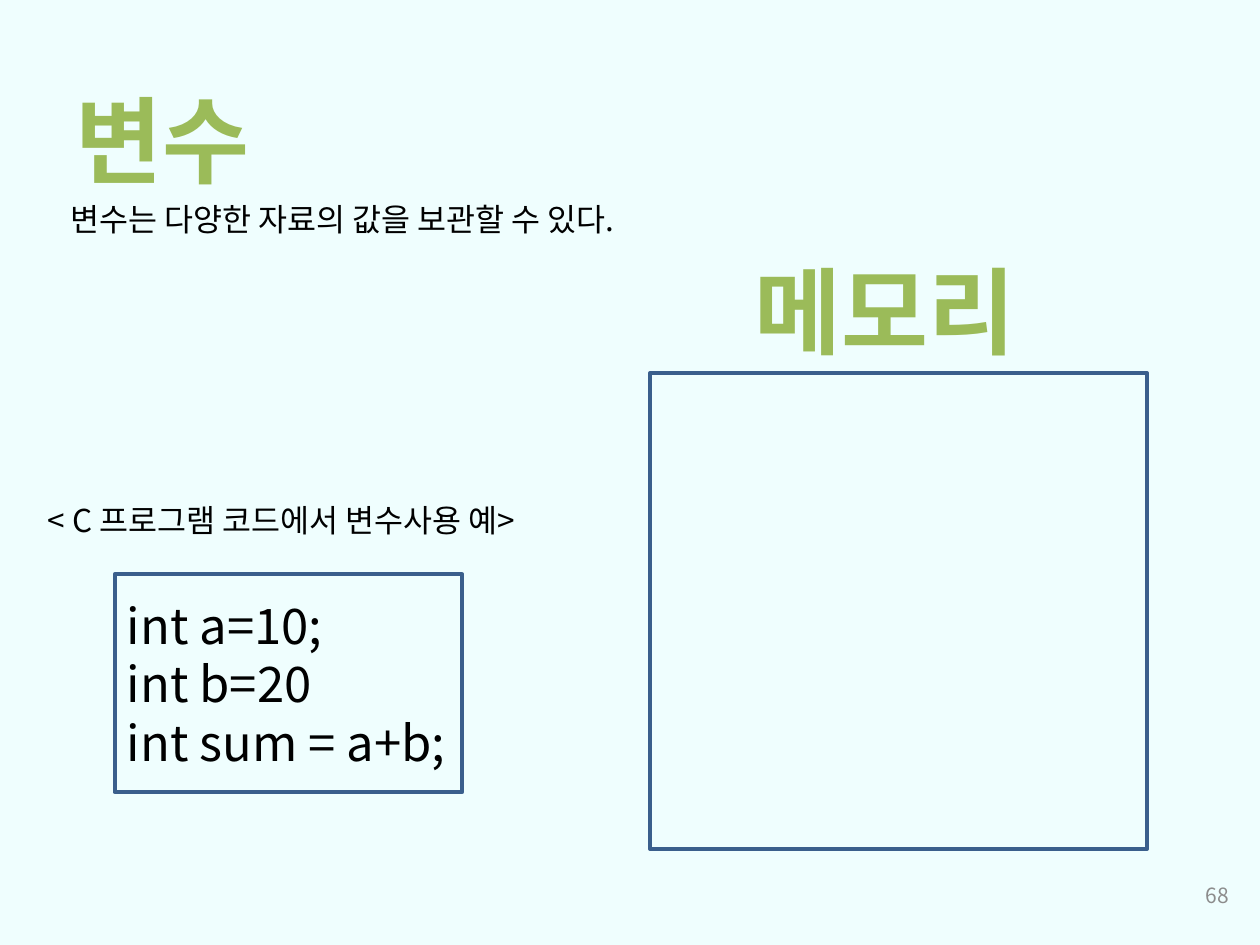
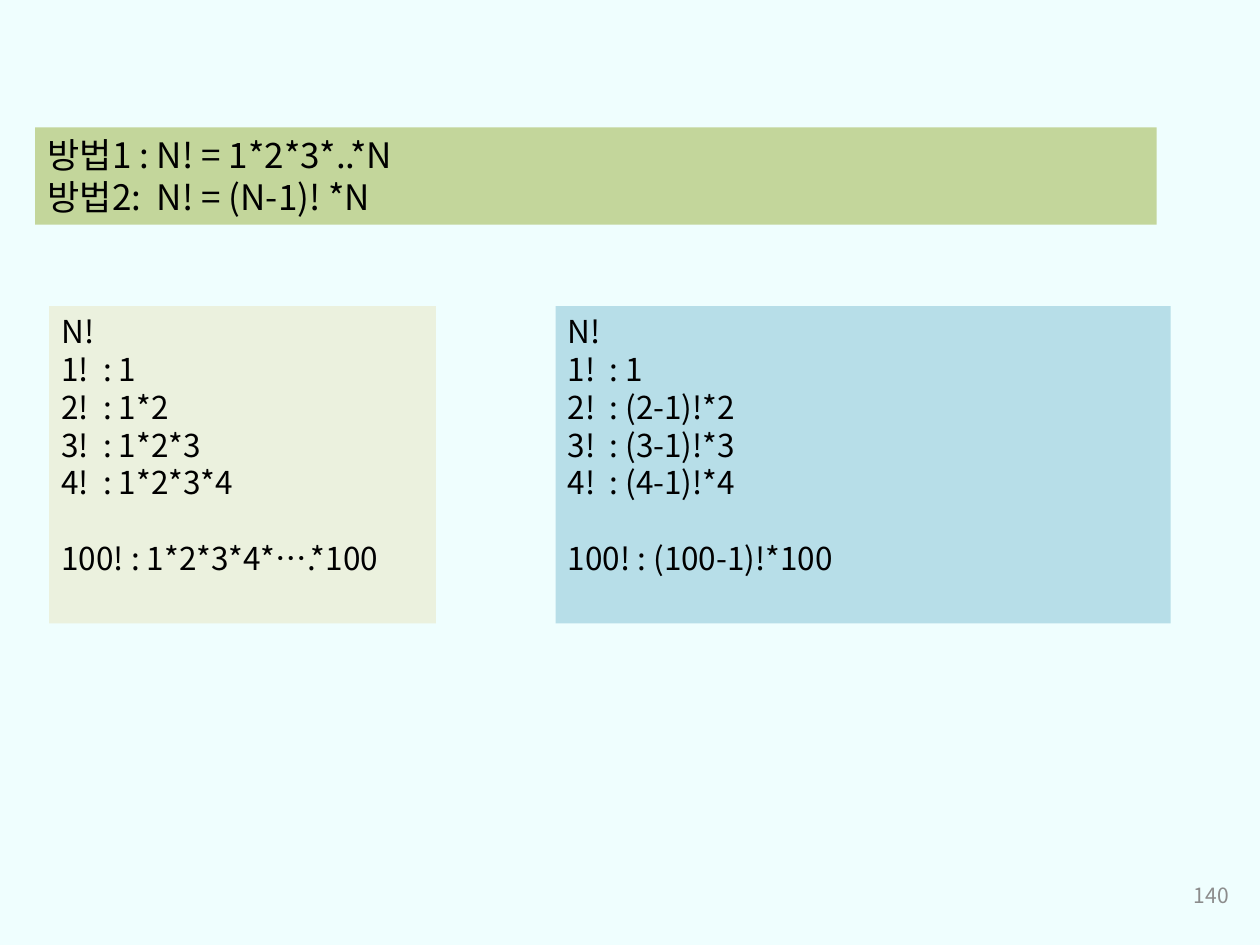
from dataclasses import dataclass

import pptx
import pptx.dml.color
import pptx.enum.shapes
import pptx.enum.text
import pptx.oxml.ns
import pptx.util
from lxml import etree

Cm, Pt = pptx.util.Cm, pptx.util.Pt
RGB = pptx.dml.color.RGBColor.from_string
ALIGN = pptx.enum.text.PP_ALIGN
ANCHOR = pptx.enum.text.MSO_ANCHOR
RECTANGLE = pptx.enum.shapes.MSO_SHAPE.RECTANGLE
LINE_PITCH = 1.2


@dataclass(frozen=True)
class Theme:
    font: str = "Noto Sans CJK KR"
    background: str = "EFFEFE"
    heading: str = "9BBB59"
    text: str = "000000"
    muted: str = "8C8C8C"
    outline: str = "3A5F8C"
    method_fill: str = "C3D69B"
    product_fill: str = "EBF1DE"
    recursive_fill: str = "B7DEE8"
    heading_size: int = 54
    code_size: int = 28
    method_size: int = 20
    body_size: int = 18
    page_size: int = 12
    outline_width: float = 2.25


class Deck:
    def __init__(self, theme):
        self.theme = theme
        self.prs = pptx.Presentation()
        self.prs.slide_width, self.prs.slide_height = Cm(25.4), Cm(19.05)
        self.s = None

    def slide(self, number):
        self.s = self.prs.slides.add_slide(self.prs.slide_layouts[6])
        fill = self.s.background.fill
        fill.solid()
        fill.fore_color.rgb = RGB(self.theme.background)
        self.text((19.1, 17.53, 5.92, 1.02), str(number), self.theme.page_size,
                  color=self.theme.muted, align=ALIGN.RIGHT, anchor=ANCHOR.MIDDLE)

    def set_text(self, sp, text, size, color=None, bold=False, align=ALIGN.LEFT,
                 anchor=ANCHOR.TOP, wrap=True):
        """Fill a shape with one paragraph per line; an empty line becomes space before the next."""
        tf = sp.text_frame
        for name, value in {"word_wrap": wrap, "vertical_anchor": anchor}.items():
            setattr(tf, name, value)
        p, gap = None, 0
        for line in text.split("\n"):
            if not line:
                gap += size * LINE_PITCH
                continue
            p = tf.add_paragraph() if p is not None else tf.paragraphs[0]
            p.alignment = align
            if gap:
                p.space_before, gap = Pt(gap), 0
            r = p.add_run()
            r.text = line
            for name, value in {"name": self.theme.font, "size": Pt(size), "bold": bold}.items():
                setattr(r.font, name, value)
            r.font.color.rgb = RGB(color or self.theme.text)
            ea = etree.SubElement(r.font._element, pptx.oxml.ns.qn("a:ea"))
            ea.set("typeface", self.theme.font)

    def text(self, box, text, size, **style):
        sp = self.s.shapes.add_textbox(*map(Cm, box))
        self.set_text(sp, text, size, **style)

    def heading(self, box, text):
        self.text(box, text, self.theme.heading_size, color=self.theme.heading,
                  bold=True, align=ALIGN.CENTER, wrap=False)

    def rectangle(self, box):
        sp = self.s.shapes.add_shape(RECTANGLE, *map(Cm, box))
        sp.shadow.inherit = False
        return sp

    def frame(self, box, text=""):
        """Outlined box without fill, optionally holding code."""
        sp = self.rectangle(box)
        sp.fill.background()
        sp.line.color.rgb = RGB(self.theme.outline)
        sp.line.width = Pt(self.theme.outline_width)
        if text:
            self.set_text(sp, text, self.theme.code_size, anchor=ANCHOR.MIDDLE)

    def panel(self, box, fill, text, size):
        sp = self.rectangle(box)
        sp.fill.solid()
        sp.fill.fore_color.rgb = RGB(fill)
        sp.line.fill.background()
        self.set_text(sp, text, size)


def variables(deck):
    t = deck.theme
    deck.slide(68)
    deck.heading((1.09, 1.52, 4.37, 2.57), "변수")
    deck.frame((13.11, 7.52, 10.01, 9.6))
    deck.heading((14.71, 4.98, 6.27, 2.57), "메모리")
    deck.text((1.17, 3.91, 13.13, 1.8), "변수는 다양한 자료의 값을 보관할 수 있다.", t.body_size)
    deck.frame((2.31, 11.58, 7.01, 4.39), "int a=10;\nint b=20\nint sum = a+b;")
    deck.text((0.71, 9.98, 12.4, 1.02), "< C 프로그램 코드에서 변수사용 예>", t.body_size)


def factorial(deck):
    t = deck.theme
    deck.slide(140)
    deck.panel((0.71, 2.57, 22.61, 1.96), t.method_fill,
               "방법1 : N! = 1*2*3*..*N\n방법2:  N! = (N-1)! *N", t.method_size)
    top, height = 6.17, 6.4
    numbers = range(2, 5)
    products = ["*".join(map(str, range(1, n + 1))) for n in numbers]
    recursions = [f"({n}-1)!*{n}" for n in numbers]
    columns = [
        (0.99, 7.8, t.product_fill, products, "1*2*3*4*….*100"),
        (11.2, 12.4, t.recursive_fill, recursions, "(100-1)!*100"),
    ]
    for left, width, fill, terms, last in columns:
        lines = ["N!"] + [f"{n}!  : {term}" for n, term in enumerate(["1"] + terms, 1)]
        lines += ["", f"100! : {last}"]
        deck.panel((left, top, width, height), fill, "\n".join(lines), t.body_size)


def main():
    deck = Deck(Theme())
    variables(deck)
    factorial(deck)
    deck.prs.save("out.pptx")


if __name__ == "__main__":
    main()
